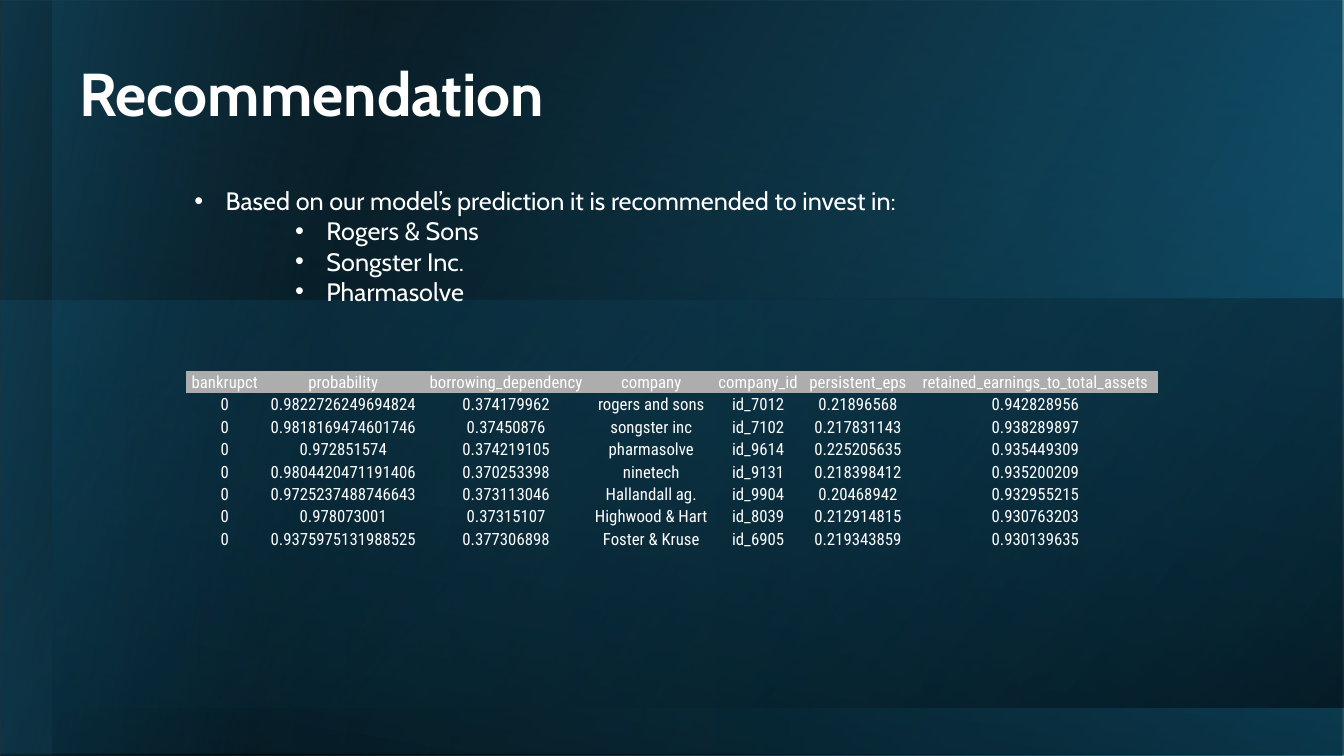
from pptx import Presentation
from pptx.dml.color import RGBColor
from pptx.enum.shapes import MSO_SHAPE as SHAPE
from pptx.enum.text import MSO_ANCHOR as ANCHOR, PP_ALIGN as ALIGN
from pptx.oxml import parse_xml
from pptx.oxml.ns import nsdecls, qn
from pptx.util import Inches, Pt

NO_STYLE_NO_GRID = "{2D5ABB26-0587-4C30-8999-92F81FD0307C}"
WHITE = "FFFFFF"

# Each panel: left, top, width, height, rotation, angle, stops (position, colour, opacity)
PANELS = [
    (0, 0, 13.33, 7.5, 0, 150, [(19, "000000", 96), (100, "156082", 100)]),
    (0.52, 0.01, 12.81, 7.48, 0, 260, [(0, "000000", 72), (100, "156082", 20)]),
    (0, 2.98, 13.33, 4.5, 0, 0, [(30, "104862", 19), (100, "156082", 24)]),
    (-1.87, 1.88, 7.5, 3.74, 270, 80, [(0, "156082", 52), (76, "104862", 0)]),
]
FRONT_PANEL = (0, 2.96, 13.33, 4.06, 0, 320, [(0, "000000", 50), (92, "104862", 0)])

COLUMN_WIDTHS = [0.78, 1.57, 1.66, 1.22, 0.9, 1.08, 2.44]
ROW_HEIGHT = 0.2225
ROWS = [
    ["bankrupct", "probability", "borrowing_dependency", "company", "company_id",
     "persistent_eps", "retained_earnings_to_total_assets"],
    ["0", "0.9822726249694824", "0.374179962", "rogers and sons", "id_7012", "0.21896568", "0.942828956"],
    ["0", "0.9818169474601746", "0.37450876", "songster inc", "id_7102", "0.217831143", "0.938289897"],
    ["0", "0.972851574", "0.374219105", "pharmasolve", "id_9614", "0.225205635", "0.935449309"],
    ["0", "0.9804420471191406", "0.370253398", "ninetech", "id_9131", "0.218398412", "0.935200209"],
    ["0", "0.9725237488746643", "0.373113046", "Hallandall ag.", "id_9904", "0.20468942", "0.932955215"],
    ["0", "0.978073001", "0.37315107", "Highwood & Hart", "id_8039", "0.212914815", "0.930763203"],
    ["0", "0.9375975131988525", "0.377306898", "Foster & Kruse", "id_6905", "0.219343859", "0.930139635"],
]

INTRO = "Based on our model’s prediction it is recommended to invest in:"
PICKS = ["Rogers & Sons", "Songster Inc.", "Pharmasolve"]


def rgb(value):
    return RGBColor.from_string(value)


def add_run(p, text, size, font, bold=False):
    r = p.add_run()
    r.text = text
    r.font.size = Pt(size)
    r.font.name = font
    r.font.bold = bold
    r.font.color.rgb = rgb(WHITE)


def add_panel(s, left, top, width, height, rotation, angle, stops):
    """Add a mirrored rectangle with a translucent linear gradient."""
    sp = s.shapes.add_shape(SHAPE.RECTANGLE, Inches(left), Inches(top), Inches(width), Inches(height))
    sp.rotation = rotation
    sp.shadow.inherit = False
    sp.line.fill.background()
    sp.fill.background()
    stop_xml = "".join(
        f'<a:gs pos="{pos * 1000}"><a:srgbClr val="{color}">'
        f'<a:alpha val="{opacity * 1000}"/></a:srgbClr></a:gs>'
        for pos, color, opacity in stops)
    gradient = parse_xml(
        f'<a:gradFill {nsdecls("a")} rotWithShape="1"><a:gsLst>{stop_xml}</a:gsLst>'
        f'<a:lin ang="{angle * 60000}" scaled="0"/></a:gradFill>')
    sp_pr = sp._element.spPr
    sp_pr.xfrm.set("flipH", "1")
    sp_pr.replace(sp_pr.find(qn("a:noFill")), gradient)


def add_text_frame(s, left, top, width, height, anchor):
    tf = s.shapes.add_textbox(Inches(left), Inches(top), Inches(width), Inches(height)).text_frame
    tf.word_wrap = True
    tf.vertical_anchor = anchor
    return tf


def add_title(s, text):
    p = add_text_frame(s, 0.52, 0.31, 5.14, 1.03, ANCHOR.BOTTOM).paragraphs[0]
    p.alignment = ALIGN.CENTER
    p.line_spacing = 0.9
    add_run(p, text, 43.2, "Cabin", bold=True)


def add_bullet(p, text, level, indent):
    p.alignment = ALIGN.JUSTIFY
    p.level = level
    p_pr = p._p.get_or_add_pPr()
    p_pr.set("marL", str(Inches(indent)))
    p_pr.set("indent", str(Inches(-0.31)))
    p_pr.append(parse_xml(f'<a:buFont {nsdecls("a")} typeface="Arial"/>'))
    p_pr.append(parse_xml(f'<a:buChar {nsdecls("a")} char="•"/>'))
    add_run(p, text, 18, "Cabin")


def add_recommendations(s):
    tf = add_text_frame(s, 1.83, 1.79, 9.86, 3.13, ANCHOR.TOP)
    add_bullet(tf.paragraphs[0], INTRO, 0, 0.31)
    for company in PICKS:
        add_bullet(tf.add_paragraph(), company, 2, 1.31)


def fill_cell(cell, text, is_header):
    cell.margin_left = cell.margin_right = cell.margin_top = Inches(0.01)
    cell.margin_bottom = 0
    cell.vertical_anchor = ANCHOR.MIDDLE
    if is_header:
        cell.fill.solid()
        cell.fill.fore_color.rgb = rgb("ADADAD")
    else:
        cell.fill.background()
    p = cell.text_frame.paragraphs[0]
    p.alignment = ALIGN.CENTER
    add_run(p, text, 12, "Roboto Condensed")


def add_company_table(s):
    frame = s.shapes.add_table(
        len(ROWS), len(COLUMN_WIDTHS), Inches(1.84), Inches(3.68),
        Inches(sum(COLUMN_WIDTHS)), Inches(ROW_HEIGHT * len(ROWS)))
    table = frame.table
    table.horz_banding = False
    frame._element.find(".//" + qn("a:tableStyleId")).text = NO_STYLE_NO_GRID
    for column, width in zip(table.columns, COLUMN_WIDTHS):
        column.width = Inches(width)
    for i, values in enumerate(ROWS):
        table.rows[i].height = Inches(ROW_HEIGHT)
        for j, value in enumerate(values):
            fill_cell(table.cell(i, j), value, i == 0)


def main():
    prs = Presentation()
    prs.slide_width, prs.slide_height = Inches(13.33), Inches(7.5)
    s = prs.slides.add_slide(prs.slide_layouts[6])
    s.background.fill.solid()
    s.background.fill.fore_color.rgb = rgb(WHITE)
    for panel in PANELS:
        add_panel(s, *panel)
    add_title(s, "Recommendation")
    add_panel(s, *FRONT_PANEL)
    add_company_table(s)
    add_recommendations(s)
    prs.save("out.pptx")


if __name__ == "__main__":
    main()
